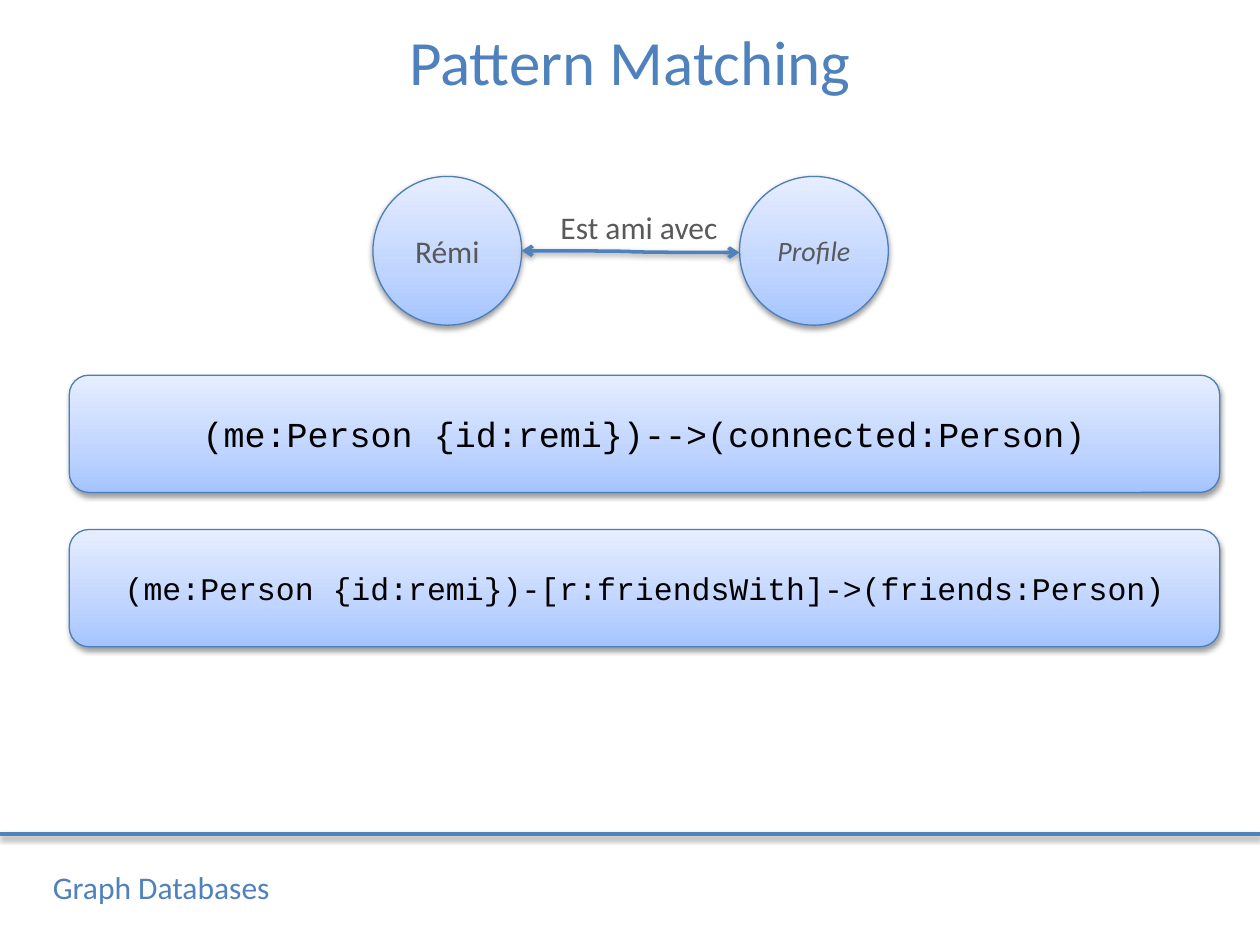
import copy
from dataclasses import dataclass

import pptx
import pptx.dml.color
import pptx.enum.shapes
import pptx.enum.text
import pptx.oxml
import pptx.oxml.ns
import pptx.util

Pt = pptx.util.Pt
qn = pptx.oxml.ns.qn
SHAPE = pptx.enum.shapes.MSO_SHAPE
CONNECTOR = pptx.enum.shapes.MSO_CONNECTOR
ALIGN = pptx.enum.text.PP_ALIGN
ANCHOR = pptx.enum.text.MSO_ANCHOR
AUTO_SIZE = pptx.enum.text.MSO_AUTO_SIZE


@dataclass(frozen=True)
class Theme:
    accent: str = "4F81BD"
    outline: str = "4B7EBC"
    grey: str = "595959"
    code: str = "000000"
    gradient: tuple = ((0, "A4C4FF"), (0.35, "BFD4FF"), (1, "E6EEFF"))
    body_font: str = "Calibri"
    code_font: str = "Courier New"
    title_size: int = 36
    large_code_size: int = 20
    body_size: int = 18
    small_size: int = 16


THEME = Theme()

SHADOW = (
    '<a:effectLst xmlns:a="http://schemas.openxmlformats.org/drawingml/2006/main">'
    '<a:outerShdw blurRad="40000" dist="20000" dir="5400000" rotWithShape="0">'
    '<a:srgbClr val="000000"><a:alpha val="38000"/></a:srgbClr>'
    "</a:outerShdw></a:effectLst>"
)


def rgb(value):
    return pptx.dml.color.RGBColor.from_string(value)


def add_shadow(sp_pr):
    sp_pr.append(pptx.oxml.parse_xml(SHADOW))


def write(tf, text, size, color, font=THEME.body_font, italic=None, align=ALIGN.CENTER):
    p = tf.paragraphs[0]
    p.alignment = align
    r = p.add_run()
    r.text = text
    r.font.name = font
    r.font.size = Pt(size)
    r.font.color.rgb = rgb(color)
    r.font.italic = italic


def add_label(slide, box, text, size, color, wrap=False, align=ALIGN.CENTER):
    s = slide.shapes.add_textbox(*map(Pt, box))
    tf = s.text_frame
    tf.word_wrap = wrap
    tf.auto_size = AUTO_SIZE.SHAPE_TO_FIT_TEXT
    write(tf, text, size, color, align=align)


def fill_gradient(s):
    """Fill from the bottom up with the theme's three stops."""
    s.fill.gradient()
    s.fill.gradient_angle = 90
    stops = s._element.spPr.find(qn("a:gradFill")).find(qn("a:gsLst"))
    stops.append(copy.deepcopy(stops[-1]))
    for stop, (position, color) in zip(s.fill.gradient_stops, THEME.gradient):
        stop.position = position
        stop.color.rgb = rgb(color)


def add_panel(slide, kind, box, text, size, color, **style):
    """Add a gradient shape with centred text."""
    s = slide.shapes.add_shape(kind, *map(Pt, box))
    fill_gradient(s)
    s.line.color.rgb = rgb(THEME.outline)
    s.line.width = Pt(0.75)
    add_shadow(s._element.spPr)
    tf = s.text_frame
    tf.word_wrap = True
    tf.vertical_anchor = ANCHOR.MIDDLE
    write(tf, text, size, color, **style)


def add_line(slide, kind, start, end, arrows=False):
    s = slide.shapes.add_connector(kind, *map(Pt, start + end))
    s.line.color.rgb = rgb(THEME.accent)
    s.line.width = Pt(2)
    if arrows:
        ln = s.line._get_or_add_ln()
        for tag in ("a:headEnd", "a:tailEnd"):
            ln.append(pptx.oxml.parse_xml(
                f'<{tag} xmlns:a="{pptx.oxml.ns.nsdecls("a").split(chr(34))[1]}" type="arrow"/>'))
    add_shadow(s._element.spPr)


def add_relationship(slide):
    """Draw two people joined by a labelled double arrow."""
    left, right, top, size = 213.1, 422.6, 100.8, 85
    middle = top + size / 2
    add_panel(slide, SHAPE.OVAL, (left, top, size, size), "Rémi",
              THEME.body_size, THEME.grey)
    add_panel(slide, SHAPE.OVAL, (right, top, size, size), "Profile",
              THEME.small_size, THEME.grey, italic=True)
    add_line(slide, CONNECTOR.CURVE, (left + size, middle), (right, middle + 1), arrows=True)
    add_label(slide, (313.2, 115.5, 105.8, 29), "Est ami avec",
              THEME.body_size, THEME.grey, align=ALIGN.LEFT)


def add_patterns(slide):
    patterns = (
        ("(me:Person {id:remi})-->(connected:Person)", THEME.large_code_size),
        ("(me:Person {id:remi})-[r:friendsWith]->(friends:Person)", THEME.body_size),
    )
    for row, (text, size) in enumerate(patterns):
        add_panel(slide, SHAPE.ROUNDED_RECTANGLE, (39.6, 214.4 + row * 88.2, 657.4, 67),
                  text, size, THEME.code, font=THEME.code_font)


def main():
    prs = pptx.Presentation()
    prs.slide_width, prs.slide_height = Pt(720), Pt(540)
    slide = prs.slides.add_slide(prs.slide_layouts[6])
    add_line(slide, CONNECTOR.STRAIGHT, (0, 476.6), (720, 476.6))
    add_label(slide, (21.6, 492.5, 141.1, 29), "Graph Databases", THEME.body_size, THEME.accent)
    add_label(slide, (0, 9.4, 720, 51), "Pattern Matching", THEME.title_size, THEME.accent,
              wrap=True)
    add_relationship(slide)
    add_patterns(slide)
    prs.save("out.pptx")


if __name__ == "__main__":
    main()
